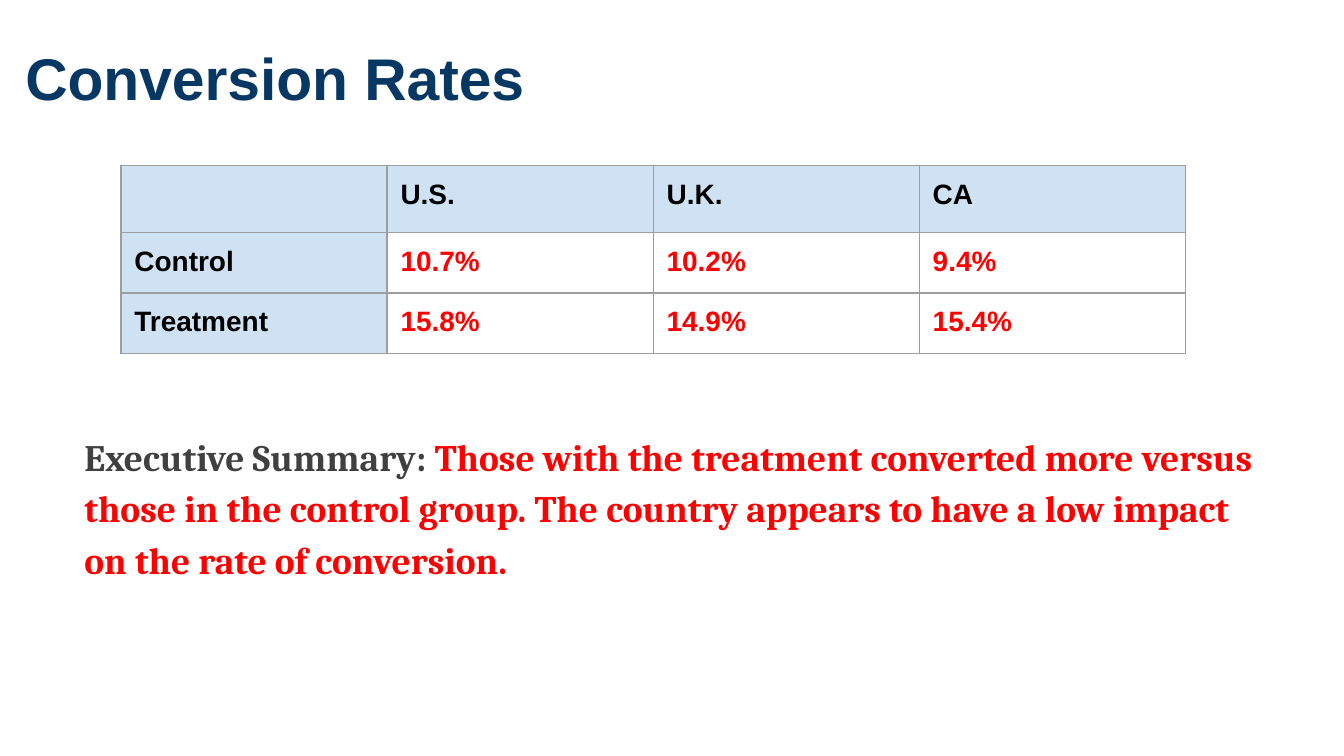
"""Build a slide with a conversion rate table and its executive summary."""
from lxml.etree import SubElement
from pptx import Presentation
from pptx.dml.color import RGBColor
from pptx.oxml.ns import qn
from pptx.util import Inches, Pt

COLORS = {
    "title": "073763", "label": "000000", "lead": "404040", "value": "FF0000",
    "header": "CFE2F3", "body": "FFFFFF", "border": "9E9E9E",
}
TITLE = [("Conversion Rates", "title")]
RATES = [
    ["", "U.S.", "U.K.", "CA"],
    ["Control", "10.7%", "10.2%", "9.4%"],
    ["Treatment", "15.8%", "14.9%", "15.4%"],
]
SUMMARY = [
    ("Executive Summary: ", "lead"),
    ("Those with the treatment converted more versus those in the control group. "
     "The country appears to have a low impact on the rate of conversion.", "value"),
]
SLIDE_WIDTH = 10
SLIDE_HEIGHT = SLIDE_WIDTH * 9 / 16
TABLE_LEFT, TABLE_TOP = 0.9, 1.23
COLUMN_WIDTH, ROW_HEIGHT = 1.98, 0.45
PADDING = Inches(0.1)


def color(name):
    return RGBColor.from_string(COLORS[name])


def set_padding(target):
    target.margin_left = target.margin_right = PADDING
    target.margin_top = target.margin_bottom = PADDING


def style_font(font, family, size, color_name):
    font.name, font.size, font.bold = family, Pt(size), True
    font.color.rgb = color(color_name)


def add_text(page, left, top, width, height, spans, family, size, spacing=None):
    box = page.shapes.add_textbox(*map(Inches, (left, top, width, height)))
    frame = box.text_frame
    frame.word_wrap = True
    set_padding(frame)
    para = frame.paragraphs[0]
    para.line_spacing = spacing
    for text, color_name in spans:
        span = para.add_run()
        span.text = text
        style_font(span.font, family, size, color_name)


def add_borders(cell):
    properties = cell._tc.get_or_add_tcPr()
    for position, side in enumerate(("a:lnL", "a:lnR", "a:lnT", "a:lnB")):
        line = properties.makeelement(qn(side), {"w": str(Pt(0.75))})
        fill = SubElement(line, qn("a:solidFill"))
        SubElement(fill, qn("a:srgbClr"), val=COLORS["border"])
        properties.insert(position, line)


def add_rates(page):
    rows, columns = len(RATES), len(RATES[0])
    table = page.shapes.add_table(
        rows, columns, Inches(TABLE_LEFT), Inches(TABLE_TOP),
        Inches(columns * COLUMN_WIDTH), Inches(rows * ROW_HEIGHT)).table
    for column in table.columns:
        column.width = Inches(COLUMN_WIDTH)
    for row in table.rows:
        row.height = Inches(ROW_HEIGHT)
    for row_index, values in enumerate(RATES):
        for column_index, value in enumerate(values):
            is_label = row_index == 0 or column_index == 0
            cell = table.cell(row_index, column_index)
            set_padding(cell)
            cell.text_frame.text = value
            cell.fill.solid()
            cell.fill.fore_color.rgb = color("header" if is_label else "body")
            for span in cell.text_frame.paragraphs[0].runs:
                style_font(span.font, "Arial", 15, "label" if is_label else "value")
            add_borders(cell)


def main():
    deck = Presentation()
    deck.slide_width, deck.slide_height = Inches(SLIDE_WIDTH), Inches(SLIDE_HEIGHT)
    page = deck.slides.add_slide(deck.slide_layouts[6])
    add_text(page, 0.09, 0.21, SLIDE_WIDTH, 0.73, TITLE, "Arial", 31.5)
    add_rates(page)
    add_text(page, 0.53, 3.08, 8.98, 1.36, SUMMARY, "Cambria", 20, 1.15)
    deck.save("out.pptx")


if __name__ == "__main__":
    main()
